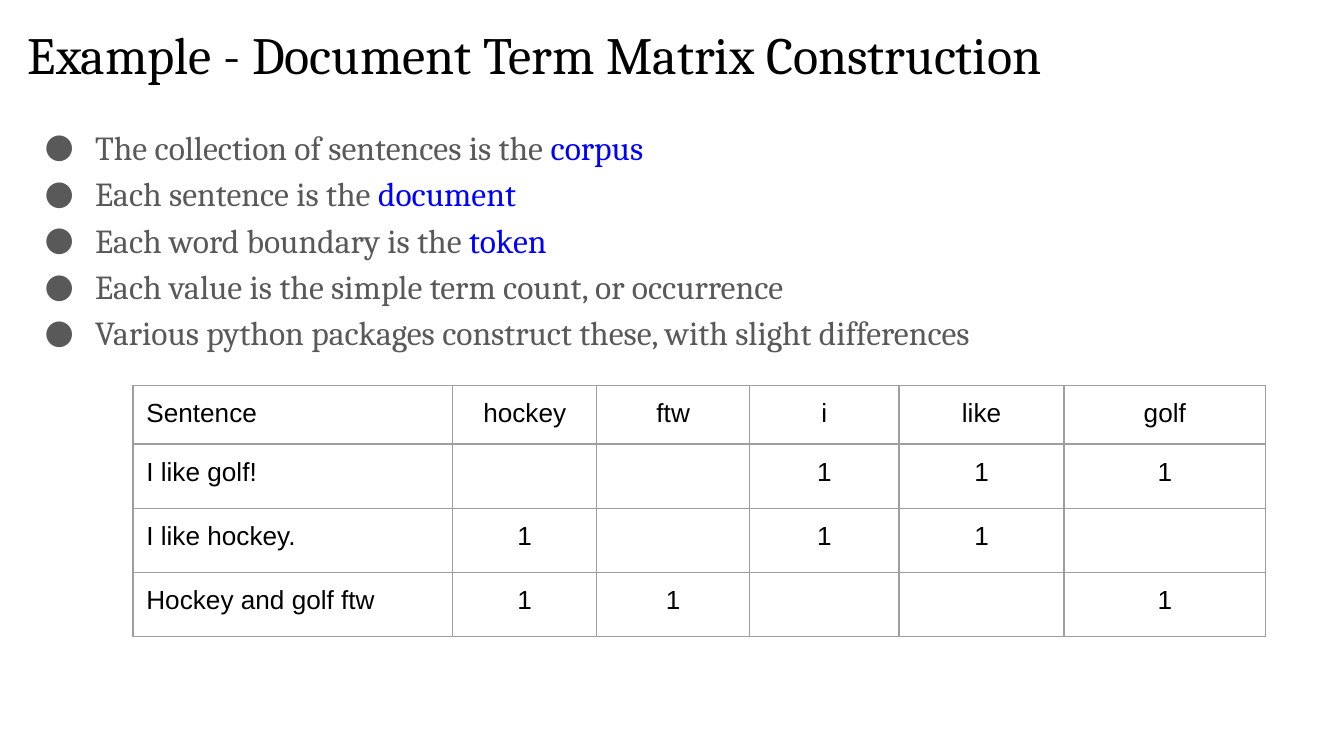
from dataclasses import dataclass

from lxml.etree import SubElement
from pptx import Presentation
from pptx.dml.color import RGBColor
from pptx.enum.text import MSO_ANCHOR, PP_ALIGN
from pptx.oxml.ns import qn
from pptx.util import Pt

BLACK = RGBColor(0x00, 0x00, 0x00)
GRAY = RGBColor(0x59, 0x59, 0x59)
BLUE = RGBColor(0x00, 0x00, 0xFF)
BORDER = RGBColor(0x9E, 0x9E, 0x9E)
INSET = Pt(7.2)


@dataclass
class Bullet:
    text: str
    term: str = ""


BULLETS = [
    Bullet("The collection of sentences is the ", "corpus"),
    Bullet("Each sentence is the ", "document"),
    Bullet("Each word boundary is the ", "token"),
    Bullet("Each value is the simple term count, or occurrence"),
    Bullet("Various python packages construct these, with slight differences"),
]

COL_WIDTHS = [171.4, 77.1, 82, 80, 88.4, 108]
ROW_HEIGHTS = [31.3, 34.4, 34.4, 34.4]
MATRIX = [
    ["Sentence", "hockey", "ftw", "i", "like", "golf"],
    ["I like golf!", "", "", "1", "1", "1"],
    ["I like hockey.", "1", "", "1", "1", ""],
    ["Hockey and golf ftw", "1", "1", "", "", "1"],
]


def style_font(font, name: str, size: float, color: RGBColor) -> None:
    font.name, font.size = name, Pt(size)
    font.color.rgb = color


def add_text_frame(s, top: float, height: float):
    tf = s.shapes.add_textbox(Pt(7.9), Pt(top), Pt(702.7), Pt(height)).text_frame
    tf.word_wrap = True
    tf.vertical_anchor = MSO_ANCHOR.TOP
    tf.margin_left = tf.margin_right = tf.margin_top = tf.margin_bottom = INSET
    return tf


def add_bullet(p, bullet: Bullet) -> None:
    p.line_spacing = 1.15
    pPr = p._p.get_or_add_pPr()
    pPr.set("marL", str(Pt(36)))
    pPr.set("indent", str(Pt(-27)))
    color = SubElement(pPr, qn("a:buClr"))
    SubElement(color, qn("a:srgbClr"), val=str(GRAY))
    SubElement(pPr, qn("a:buFont"), typeface="Cambria")
    SubElement(pPr, qn("a:buChar"), char="●")
    for text, tint in ((bullet.text, GRAY), (bullet.term, BLUE)):
        if text:
            r = p.add_run()
            r.text = text
            style_font(r.font, "Cambria", 18, tint)


def add_borders(cell) -> None:
    tcPr = cell._tc.get_or_add_tcPr()
    for side in ("a:lnL", "a:lnR", "a:lnT", "a:lnB"):
        line = SubElement(tcPr, qn(side), w=str(Pt(0.75)))
        fill = SubElement(line, qn("a:solidFill"))
        SubElement(fill, qn("a:srgbClr"), val=str(BORDER))


def fill_cell(cell, text: str, centered: bool) -> None:
    add_borders(cell)
    cell.fill.background()
    cell.margin_left = cell.margin_right = INSET
    # Empty cells keep no vertical margin, so the row height rules
    cell.margin_top = cell.margin_bottom = INSET if text else 0
    if text:
        p = cell.text_frame.paragraphs[0]
        p.text = text
        p.alignment = PP_ALIGN.CENTER if centered else PP_ALIGN.LEFT
        style_font(p.runs[0].font, "Arial", 14, BLACK)


def add_matrix(s) -> None:
    frame = s.shapes.add_table(len(MATRIX), len(COL_WIDTHS), Pt(71.2), Pt(206.6),
                               Pt(sum(COL_WIDTHS)), Pt(sum(ROW_HEIGHTS)))
    table = frame.table
    table.first_row = table.horz_banding = False
    for column, width in zip(table.columns, COL_WIDTHS):
        column.width = Pt(width)
    for i, (row, height) in enumerate(zip(table.rows, ROW_HEIGHTS)):
        row.height = Pt(height)
        for j, cell in enumerate(row.cells):
            fill_cell(cell, MATRIX[i][j], centered=j > 0)


def main() -> None:
    prs = Presentation()
    prs.slide_width, prs.slide_height = Pt(720), Pt(405)
    s = prs.slides.add_slide(prs.slide_layouts[6])

    # Bullet list
    tf = add_text_frame(s, 57.6, 269.3)
    for i, bullet in enumerate(BULLETS):
        add_bullet(tf.add_paragraph() if i else tf.paragraphs[0], bullet)

    # Title
    p = add_text_frame(s, 5, 45.4).paragraphs[0]
    p.text = "Example - Document Term Matrix Construction"
    style_font(p.runs[0].font, "Cambria", 28, BLACK)

    # Document term matrix
    add_matrix(s)

    prs.save("out.pptx")


if __name__ == "__main__":
    main()
